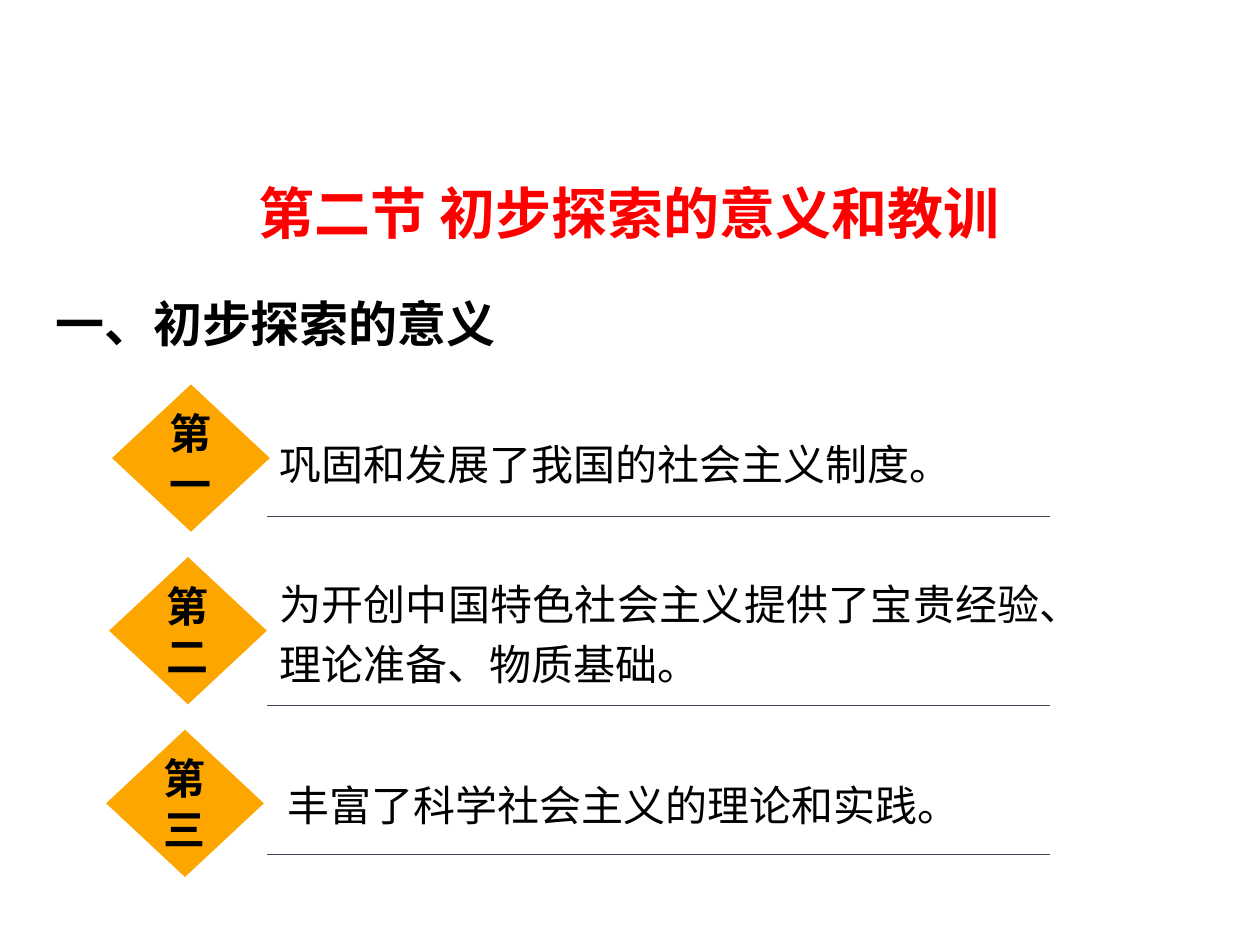
"""Build the slide on the meaning of the early exploration."""
from dataclasses import dataclass

from lxml.etree import SubElement
from pptx import Presentation
from pptx.dml.color import RGBColor
from pptx.enum.shapes import MSO_CONNECTOR, MSO_SHAPE
from pptx.enum.text import MSO_ANCHOR, MSO_AUTO_SIZE, PP_ALIGN
from pptx.oxml.ns import qn
from pptx.util import Cm, Pt

TITLE = "第二节 初步探索的意义和教训"
HEAD = "一、初步探索的意义"
POINTS = [
    {"mark": "第一", "text": "巩固和发展了我国的社会主义制度。",
     "left": 5.38, "top": 8.51, "high": 1.47, "rule": 10.41},
    {"mark": "第二", "text": "为开创中国特色社会主义提供了宝贵经验、理论准备、物质基础。",
     "left": 5.38, "top": 11.33, "high": 2.62, "rule": 14.22},
    {"mark": "第三", "text": "丰富了科学社会主义的理论和实践。",
     "left": 5.54, "top": 15.39, "high": 1.37, "rule": 17.22},
]


@dataclass(frozen=True)
class Theme:
    face: str = "Noto Sans CJK SC"
    red: str = "FF0000"
    ink: str = "000000"
    gold: str = "FEA600"
    rule: str = "414455"
    title: int = 32
    head: int = 28
    body: int = 24


LOOK = Theme()


def write(shape, text, size, color, bold, align, space=1.0):
    frame = shape.text_frame
    frame.word_wrap = True
    frame.auto_size = MSO_AUTO_SIZE.NONE
    frame.text = text
    para = frame.paragraphs[0]
    para.alignment = align
    para.line_spacing = space
    para.space_before = Pt(0)
    props = para._p.get_or_add_pPr()
    props.set("marL", "0")
    props.set("indent", "0")
    SubElement(props, qn("a:buNone"))
    font = para.font
    font.name = LOOK.face
    font.size = Pt(size)
    font.bold = bold
    font.color.rgb = RGBColor.from_string(color)
    SubElement(props.find(qn("a:defRPr")), qn("a:ea"), typeface=LOOK.face)
    return frame


def place(shape, left, top, width, height):
    shape.left, shape.top = Cm(left), Cm(top)
    shape.width, shape.height = Cm(width), Cm(height)


def mark(slide, text, row):
    gem = slide.shapes.add_shape(
        MSO_SHAPE.FLOWCHART_DECISION, Cm(2.26 - 0.06 * row),
        Cm(7.75 + 3.48 * row), Cm(3.18), Cm(2.97))
    gem.shadow.inherit = False
    gem.fill.solid()
    gem.fill.fore_color.rgb = RGBColor.from_string(LOOK.gold)
    gem.line.fill.background()
    frame = write(gem, text, LOOK.body, LOOK.ink, True, PP_ALIGN.CENTER)
    frame.vertical_anchor = MSO_ANCHOR.MIDDLE


def rule(slide, y):
    line = slide.shapes.add_connector(
        MSO_CONNECTOR.STRAIGHT, Cm(21.16), Cm(y), Cm(5.38), Cm(y))
    line.line.color.rgb = RGBColor.from_string(LOOK.rule)
    line.line.width = Pt(0.25)
    SubElement(line._element.spPr, qn("a:effectLst"))


def main():
    deck = Presentation()
    deck.slide_width, deck.slide_height = Cm(25.4), Cm(19.05)
    slide = deck.slides.add_slide(deck.slide_layouts[1])
    title, head = slide.placeholders
    place(title, 0.86, 3.37, 23.67, 1.8)
    place(head, 0.86, 5.6, 23.67, 1.8)
    for shape, text, size, color, align in (
            (title, TITLE, LOOK.title, LOOK.red, PP_ALIGN.CENTER),
            (head, HEAD, LOOK.head, LOOK.ink, PP_ALIGN.LEFT)):
        frame = write(shape, text, size, color, True, align)
        frame.vertical_anchor = MSO_ANCHOR.MIDDLE

    for row, point in enumerate(POINTS):
        box = slide.shapes.add_textbox(
            Cm(point["left"]), Cm(point["top"]), Cm(16.69), Cm(point["high"]))
        write(box, point["text"], LOOK.body, LOOK.ink, False,
              PP_ALIGN.JUSTIFY, 1.2)
        rule(slide, point["rule"])
        mark(slide, point["mark"], row)

    deck.save("out.pptx")


if __name__ == "__main__":
    main()
